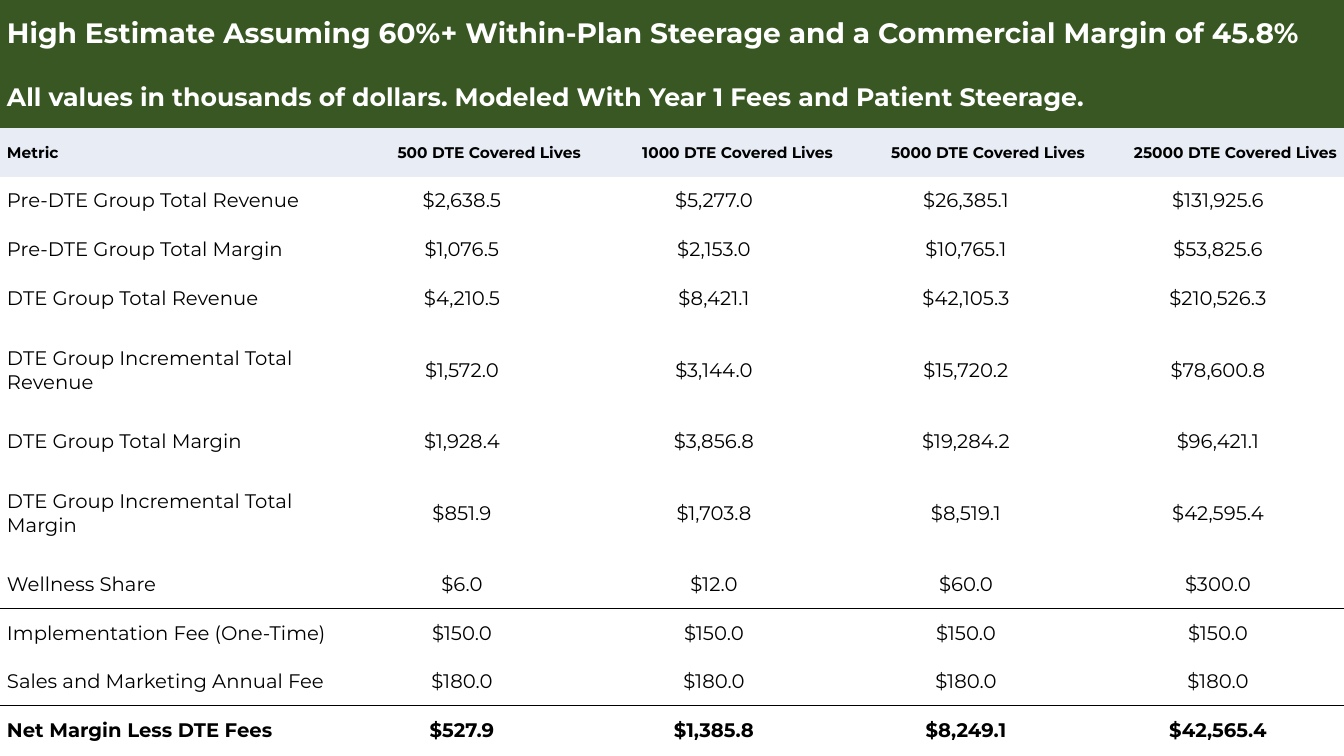
from lxml.etree import SubElement
from pptx import Presentation
from pptx.dml.color import RGBColor
from pptx.enum.text import MSO_ANCHOR, PP_ALIGN
from pptx.oxml.ns import qn
from pptx.util import Emu, Pt

PX = 914400 / 100.8
GREEN = RGBColor(0x38, 0x57, 0x23)
PALE_BLUE = RGBColor(0xE7, 0xEC, 0xF5)
WHITE = RGBColor(0xFF, 0xFF, 0xFF)
BLACK = RGBColor(0x00, 0x00, 0x00)
NO_STYLE_NO_GRID = "{2D5ABB26-0587-4C30-8999-92F81FD0307C}"

ROWS = [
    ["High Estimate Assuming 60%+ Within-Plan Steerage and a Commercial Margin of 45.8%"],
    ["All values in thousands of dollars. Modeled With Year 1 Fees and Patient Steerage."],
    ["Metric", "500 DTE Covered Lives", "1000 DTE Covered Lives",
     "5000 DTE Covered Lives", "25000 DTE Covered Lives"],
    ["Pre-DTE Group Total Revenue", "$2,638.5", "$5,277.0", "$26,385.1", "$131,925.6"],
    ["Pre-DTE Group Total Margin", "$1,076.5", "$2,153.0", "$10,765.1", "$53,825.6"],
    ["DTE Group Total Revenue", "$4,210.5", "$8,421.1", "$42,105.3", "$210,526.3"],
    ["DTE Group Incremental Total Revenue", "$1,572.0", "$3,144.0", "$15,720.2", "$78,600.8"],
    ["DTE Group Total Margin", "$1,928.4", "$3,856.8", "$19,284.2", "$96,421.1"],
    ["DTE Group Incremental Total Margin", "$851.9", "$1,703.8", "$8,519.1", "$42,595.4"],
    ["Wellness Share", "$6.0", "$12.0", "$60.0", "$300.0"],
    ["Implementation Fee (One-Time)", "$150.0", "$150.0", "$150.0", "$150.0"],
    ["Sales and Marketing Annual Fee", "$180.0", "$180.0", "$180.0", "$180.0"],
    ["Net Margin Less DTE Fees", "$527.9", "$1,385.8", "$8,249.1", "$42,565.4"],
]
HEADER, NET_MARGIN = 2, 12
HEIGHTS = [67, 61, 49, 48, 49, 49, 95, 48, 95, 48, 49, 48, 50]
WIDTHS = [336] + [252] * 4
SIZES = [20, 18, 11] + [14] * 10
FILLS = [GREEN, GREEN, PALE_BLUE]
RULED_BELOW = (9, 11)


def px(n):
    return Emu(round(n * PX))


def add_border(cell, tag, ruled):
    """Set one side of a cell (lnT or lnB) to a black 1 pt line or to none."""
    ln = SubElement(cell._tc.get_or_add_tcPr(), qn(f"a:{tag}"), w="12700")
    if ruled:
        fill = SubElement(ln, qn("a:solidFill"))
        SubElement(fill, qn("a:srgbClr"), val=str(BLACK))
    else:
        SubElement(ln, qn("a:noFill"))


prs = Presentation()
prs.slide_width, prs.slide_height = px(1344), px(756)
s = prs.slides.add_slide(prs.slide_layouts[6])

frame = s.shapes.add_table(len(ROWS), len(WIDTHS), 0, 0, px(sum(WIDTHS)), px(sum(HEIGHTS)))
table = frame.table
table.horz_banding = False
table._tbl.tblPr.find(qn("a:tableStyleId")).text = NO_STYLE_NO_GRID
for column, width in zip(table.columns, WIDTHS):
    column.width = px(width)

for i, texts in enumerate(ROWS):
    table.rows[i].height = px(HEIGHTS[i])
    if i < HEADER:
        table.cell(i, 0).merge(table.cell(i, len(WIDTHS) - 1))
    for j, text in enumerate(texts):
        cell = table.cell(i, j)
        add_border(cell, "lnT", i - 1 in RULED_BELOW)
        add_border(cell, "lnB", i in RULED_BELOW)
        if i < len(FILLS):
            cell.fill.solid()
            cell.fill.fore_color.rgb = FILLS[i]
        else:
            cell.fill.background()
        cell.margin_left = cell.margin_right = px(7)
        cell.margin_top = cell.margin_bottom = 0
        cell.vertical_anchor = MSO_ANCHOR.MIDDLE
        p = cell.text_frame.paragraphs[0]
        p.text = text
        if j == 0:
            p.alignment = PP_ALIGN.LEFT
        else:
            p.alignment = PP_ALIGN.RIGHT if i == HEADER else PP_ALIGN.CENTER
        p.font.name = "Montserrat"
        p.font.size = Pt(SIZES[i])
        p.font.bold = i <= HEADER or i == NET_MARGIN
        p.font.color.rgb = WHITE if i < HEADER else BLACK

prs.save("out.pptx")
